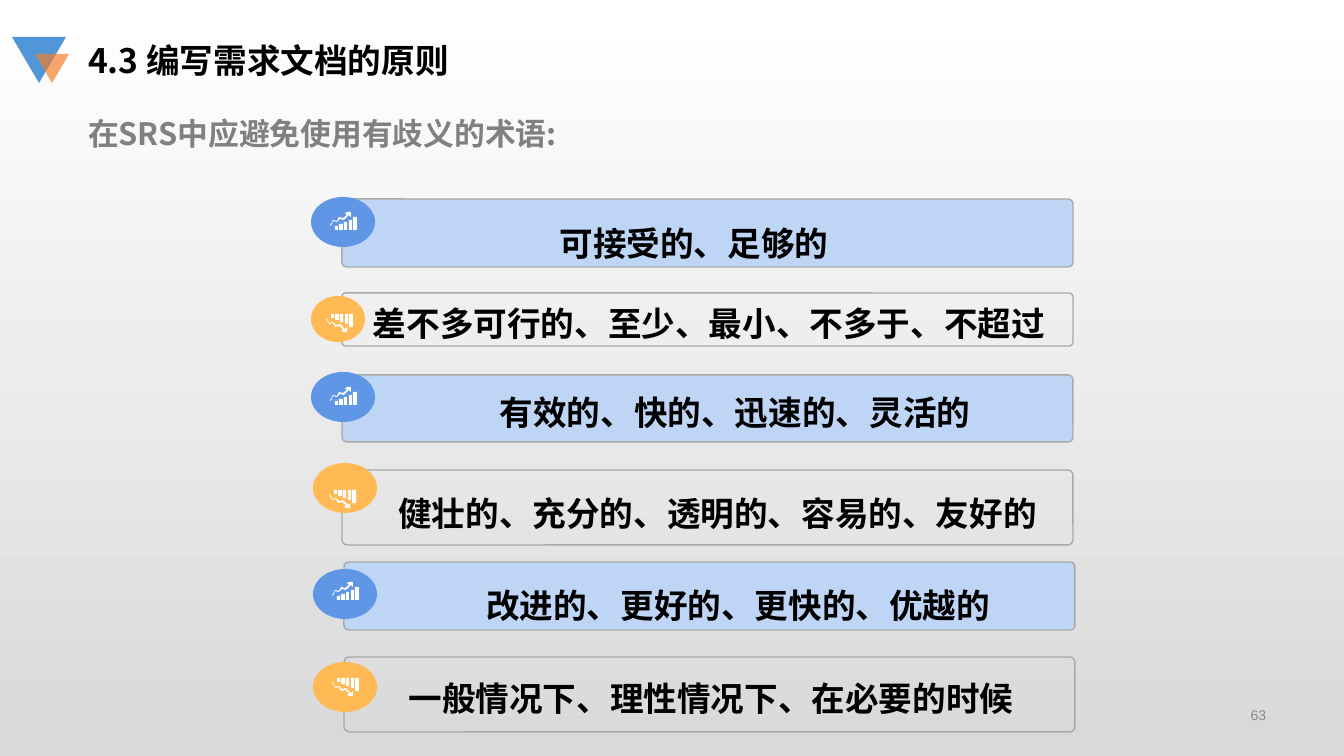
import lxml.etree
import pptx
import pptx.dml.color
import pptx.enum.shapes
import pptx.enum.text
import pptx.oxml.ns
import pptx.util

EMU_PER_PX = 914400 / 100.8
SHAPES = pptx.enum.shapes.MSO_SHAPE
ALIGN = pptx.enum.text.PP_ALIGN
ANCHOR = pptx.enum.text.MSO_ANCHOR
qn = pptx.oxml.ns.qn
RGB = pptx.dml.color.RGBColor.from_string

THEME = {
    "background": ("FFFFFF", "D9D9D9"),
    "bar": "BFD5F5", "bar_line": "A6AAA9",
    "up": "6096E6", "down": "FFBA55", "icon": "FFFFFF",
    "logo_blue": "5197D7", "logo_orange": "F37D2A",
    "title": {"size": 24, "color": "000000", "bold": True, "name": "Noto Sans CJK SC"},
    "subtitle": {"size": 22, "color": "808080", "bold": True, "name": "Noto Sans CJK SC"},
    "number": {"size": 10, "color": "8C8C8C", "bold": False, "name": "Arial"},
}


def px(*lengths):
    """Turn pixel lengths into EMU."""
    return [pptx.util.Emu(round(length * EMU_PER_PX)) for length in lengths]


def write(shape, text, style, frame_format, alignment=ALIGN.LEFT, line_spacing=1.0):
    """Fill a shape with one formatted paragraph."""
    frame = shape.text_frame
    for name, value in {"word_wrap": True, **frame_format}.items():
        setattr(frame, name, value)
    paragraph = frame.paragraphs[0]
    paragraph_format = {"alignment": alignment, "line_spacing": line_spacing,
                        "space_before": pptx.util.Pt(0)}
    for name, value in paragraph_format.items():
        setattr(paragraph, name, value)
    run = paragraph.add_run()
    run.text = text
    run.font.size = pptx.util.Pt(style["size"])
    run.font.bold = style["bold"]
    run.font.color.rgb = RGB(style["color"])
    run.font.name = style["name"]
    east_asian = lxml.etree.SubElement(run.font._element, qn("a:ea"))
    east_asian.set("typeface", style["name"])


presentation = pptx.Presentation()
presentation.slide_width, presentation.slide_height = px(1344, 756)
slide = presentation.slides.add_slide(presentation.slide_layouts[1])

background = slide.background.fill
background.gradient()
background.gradient_angle = 270
for stop, color in zip(background.gradient_stops, THEME["background"]):
    stop.color.rgb = RGB(color)

# Title and subtitle
title, subtitle = slide.placeholders
headings = [
    (title, (78, 35, 974, 50), "4.3 编写需求文档的原则", THEME["title"]),
    (subtitle, (78, 110, 1052, 47), "在SRS中应避免使用有歧义的术语:", THEME["subtitle"]),
]
heading_format = {"vertical_anchor": ANCHOR.TOP,
                  "auto_size": pptx.enum.text.MSO_AUTO_SIZE.SHAPE_TO_FIT_TEXT}
for placeholder, box, text, style in headings:
    placeholder.left, placeholder.top, placeholder.width, placeholder.height = px(*box)
    properties = placeholder.text_frame.paragraphs[0]._p.get_or_add_pPr()
    properties.set("marL", "0")
    properties.set("indent", "0")
    lxml.etree.SubElement(properties, qn("a:buNone"))
    write(placeholder, text, style, heading_format)

# Corner triangles
for box, color, opacity in [((12, 37, 54, 46), THEME["logo_blue"], 100),
                            ((35, 54, 34, 29), THEME["logo_orange"], 68)]:
    triangle = slide.shapes.add_shape(SHAPES.ISOSCELES_TRIANGLE, *px(*box))
    triangle.rotation = 180
    triangle.shadow.inherit = False
    triangle.fill.solid()
    triangle.fill.fore_color.rgb = RGB(color)
    triangle.line.fill.background()
    if opacity < 100:
        color_element = triangle._element.spPr.find(".//" + qn("a:srgbClr"))
        alpha = lxml.etree.SubElement(color_element, qn("a:alpha"))
        alpha.set("val", str(opacity * 1000))

# Chart icon: a trend arrow above five columns
ICON_WIDTH, ICON_HEIGHT = 27, 18
TREND = [(10, 7), (14, 8), (18, 4), (19, 3), (21, 5), (21, 0), (18, 0), (15, 1), (17, 3),
         (13, 6), (9, 5), (7, 9), (3, 8), (1, 12), (0, 13), (1, 14), (3, 9), (7, 10)]
COLUMNS = [(5, 14, 3), (9, 12, 4), (14, 10, 3), (19, 8, 3), (23, 5, 4)]
icon_outlines = [TREND] + [
    [(left, top), (left + width, top), (left + width, ICON_HEIGHT), (left, ICON_HEIGHT)]
    for left, top, width in COLUMNS
]

# Rows: text, bar, text box, oval, icon corner
rows = [
    ("可接受的、足够的",
     (342, 199, 731, 68), (345, 199, 698, 68), (311, 197, 64, 50), (330, 212)),
    ("差不多可行的、至少、最小、不多于、不超过",
     (342, 293, 731, 53), (345, 290, 728, 58), (311, 296, 54, 46), (326, 314)),
    ("有效的、快的、迅速的、灵活的",
     (342, 375, 731, 67), (393, 369, 684, 67), (311, 372, 64, 50), (330, 387)),
    ("健壮的、充分的、透明的、容易的、友好的",
     (342, 470, 731, 75), (352, 478, 731, 62), (313, 463, 64, 50), (329, 490)),
    ("改进的、更好的、更快的、优越的",
     (344, 562, 731, 68), (403, 564, 670, 61), (313, 569, 64, 50), (332, 582)),
    ("一般情况下、理性情况下、在必要的时候",
     (344, 657, 731, 75), (344, 662, 734, 64), (313, 662, 64, 50), (332, 678)),
]
row_format = {"vertical_anchor": ANCHOR.MIDDLE, "margin_left": 0, "margin_top": 0,
              "margin_right": 0, "margin_bottom": 0}
for index, (text, bar_box, text_box, oval_box, icon_corner) in enumerate(rows):
    rising = index % 2 == 0

    bar = slide.shapes.add_shape(SHAPES.ROUNDED_RECTANGLE, *px(*bar_box))
    bar.adjustments[0] = 0.07
    bar.shadow.inherit = False
    if rising:
        bar.fill.solid()
        bar.fill.fore_color.rgb = RGB(THEME["bar"])
    else:
        bar.fill.background()
    bar.line.color.rgb = RGB(THEME["bar_line"])
    bar.line.width = pptx.util.Pt(1)

    label = slide.shapes.add_textbox(*px(*text_box))
    write(label, text, THEME["title"], row_format, ALIGN.CENTER, 1.5 if rising else 1.2)

    oval = slide.shapes.add_shape(SHAPES.OVAL, *px(*oval_box))

    # A falling icon is the rising one mirrored, then turned upside down
    outlines = icon_outlines if rising else [
        [(ICON_WIDTH - x, y) for x, y in outline] for outline in icon_outlines]
    builder = slide.shapes.build_freeform(*outlines[0][0], scale=EMU_PER_PX)
    builder.add_line_segments(outlines[0][1:], close=True)
    for outline in outlines[1:]:
        builder.move_to(*outline[0])
        builder.add_line_segments(outline[1:], close=True)
    icon = builder.convert_to_shape(*px(*icon_corner))
    icon.rotation = 0 if rising else 180

    for shape, color in [(oval, THEME["up" if rising else "down"]), (icon, THEME["icon"])]:
        shape.shadow.inherit = False
        shape.fill.solid()
        shape.fill.fore_color.rgb = RGB(color)
        shape.line.fill.background()

# Page number
page_number = slide.shapes.add_textbox(*px(979, 697, 297, 35))
write(page_number, "63", THEME["number"], {"vertical_anchor": ANCHOR.MIDDLE}, ALIGN.RIGHT)

presentation.save("out.pptx")
